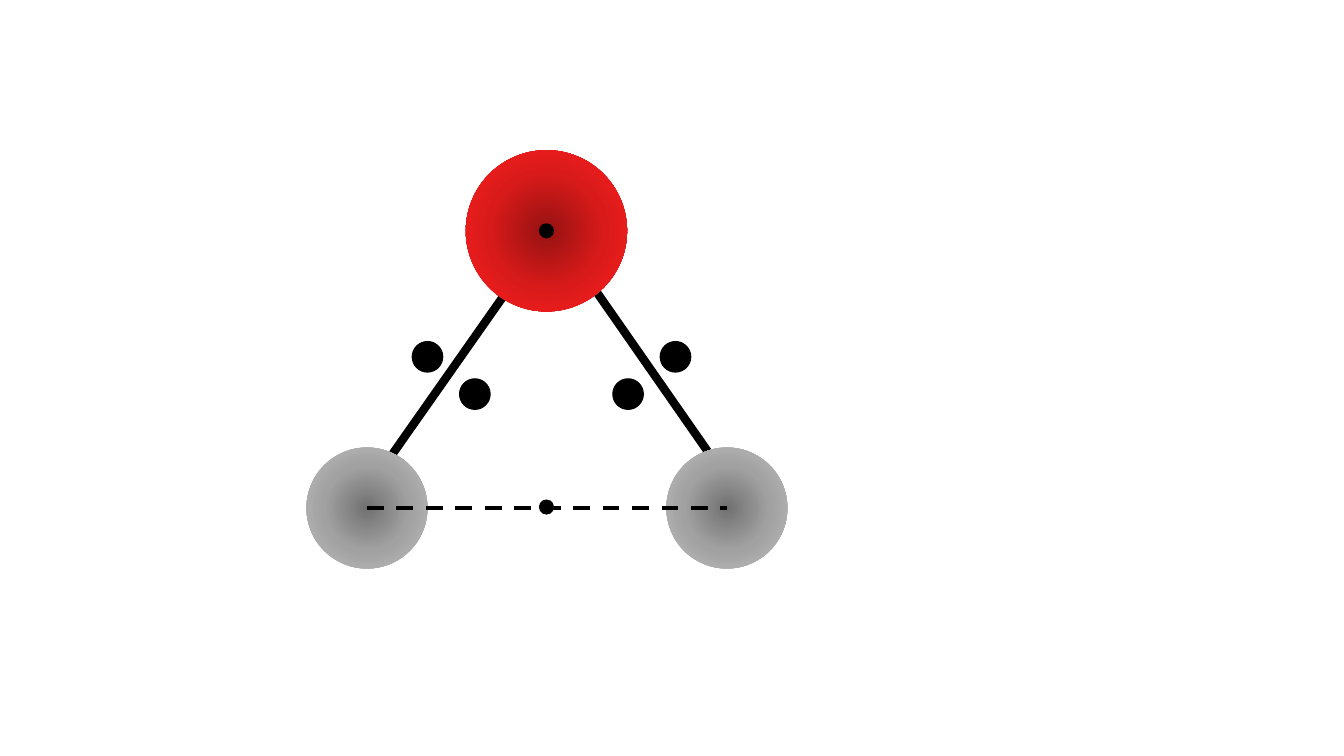
from lxml import etree
from pptx import Presentation, util as u
from pptx.dml.color import RGBColor
from pptx.enum import dml, shapes
from pptx.oxml import parse_xml
from pptx.oxml.ns import nsdecls, qn

COLORS = {"black": "000000"}
GRADIENTS = {
    "hydrogen": {0: "717171", 50: "A1A1A1", 100: "BFBFBF"},
    "oxygen": {0: "971212", 50: "D81A1A", 100: "FF1F1F"},
}
OXYGEN = (5.42, 2.29)
HYDROGENS = {"left": (3.64, 5.04), "right": (7.21, 5.04)}
BONDS = {
    "left": ((3.84, 4.58), (5.09, 2.8)),
    "right": ((5.85, 2.8), (7.09, 4.58)),
}
ELECTRON_PAIRS = [
    [(4.71, 3.91), (4.24, 3.54)],
    [(6.7, 3.54), (6.23, 3.91)],
]
CENTER_MARKS = [OXYGEN, (5.42, 5.03)]
ARC_RATIO = 0.55


def black():
    return RGBColor.from_string(COLORS["black"])


def add_circle(page, center, size):
    x, y = center
    circle = page.shapes.add_shape(
        shapes.MSO_SHAPE.OVAL,
        u.Inches(x - size / 2), u.Inches(y - size / 2),
        u.Inches(size), u.Inches(size),
    )
    circle.shadow.inherit = False
    circle.line.fill.background()
    return circle


def add_atom(page, center, size, element):
    atom = add_circle(page, center, size)
    stops = "".join(
        f'<a:gs pos="{pos * 1000}"><a:srgbClr val="{color}"/></a:gs>'
        for pos, color in GRADIENTS[element].items()
    )
    gradient = parse_xml(
        f'<a:gradFill {nsdecls("a")} rotWithShape="1"><a:gsLst>{stops}</a:gsLst>'
        '<a:path path="circle"><a:fillToRect l="50000" t="50000" r="50000" b="50000"/>'
        '</a:path></a:gradFill>'
    )
    atom.fill.background()
    properties = atom.element.spPr
    properties.replace(properties.find(qn("a:noFill")), gradient)


def add_mark(page, center):
    mark = add_circle(page, center, 0.15)
    mark.fill.solid()
    mark.fill.fore_color.rgb = black()


def add_line(page, start, end, formats):
    line = page.shapes.add_connector(
        shapes.MSO_CONNECTOR.STRAIGHT, *(u.Inches(value) for value in start + end)
    )
    line.line.color.rgb = black()
    for name, value in formats.items():
        setattr(line.line, name, value)
    etree.SubElement(line.element.spPr, qn("a:effectLst"))


def circle_corners(center, radius):
    x, y = center
    turns = [(0, -1), (1, 0), (0, 1), (-1, 0), (0, -1)]
    return [(u.Inches(x + radius * dx), u.Inches(y + radius * dy)) for dx, dy in turns]


def round_segments(outline):
    for index, segment in enumerate(list(outline.element.spPr.iter(qn("a:lnTo")))):
        start, end = (
            (int(point.get("x")), int(point.get("y")))
            for point in (segment.getprevious()[-1], segment[-1])
        )
        corner = (start[0], end[1]) if index % 2 else (end[0], start[1])
        controls = [
            [round(a + ARC_RATIO * (b - a)) for a, b in zip(anchor, corner)]
            for anchor in (start, end)
        ]
        curve = etree.Element(qn("a:cubicBezTo"))
        for x, y in [*controls, end]:
            etree.SubElement(curve, qn("a:pt"), x=str(x), y=str(y))
        segment.getparent().replace(segment, curve)


def add_electron_pair(page, centers):
    first, second = (circle_corners(center, 0.15) for center in centers)
    builder = page.shapes.build_freeform(*first[0])
    builder.add_line_segments(first[1:], close=True)
    builder.move_to(*second[0])
    builder.add_line_segments(second[1:], close=True)
    pair = builder.convert_to_shape()
    round_segments(pair)
    pair.shadow.inherit = False
    pair.fill.solid()
    pair.fill.fore_color.rgb = black()
    pair.line.color.rgb = black()
    pair.line.width = u.Pt(1)


def main():
    deck = Presentation()
    deck.slide_width, deck.slide_height = u.Inches(13.33), u.Inches(7.5)
    page = deck.slides.add_slide(deck.slide_layouts[6])
    for side in ("right", "left"):
        add_line(page, *BONDS[side], {"width": u.Pt(6)})
        add_atom(page, HYDROGENS[side], 1.2, "hydrogen")
    add_atom(page, OXYGEN, 1.6, "oxygen")
    add_line(page, HYDROGENS["left"], HYDROGENS["right"],
             {"width": u.Pt(3), "dash_style": dml.MSO_LINE.DASH})
    for centers in ELECTRON_PAIRS:
        add_electron_pair(page, centers)
    for center in CENTER_MARKS:
        add_mark(page, center)
    deck.save("out.pptx")


if __name__ == "__main__":
    main()
